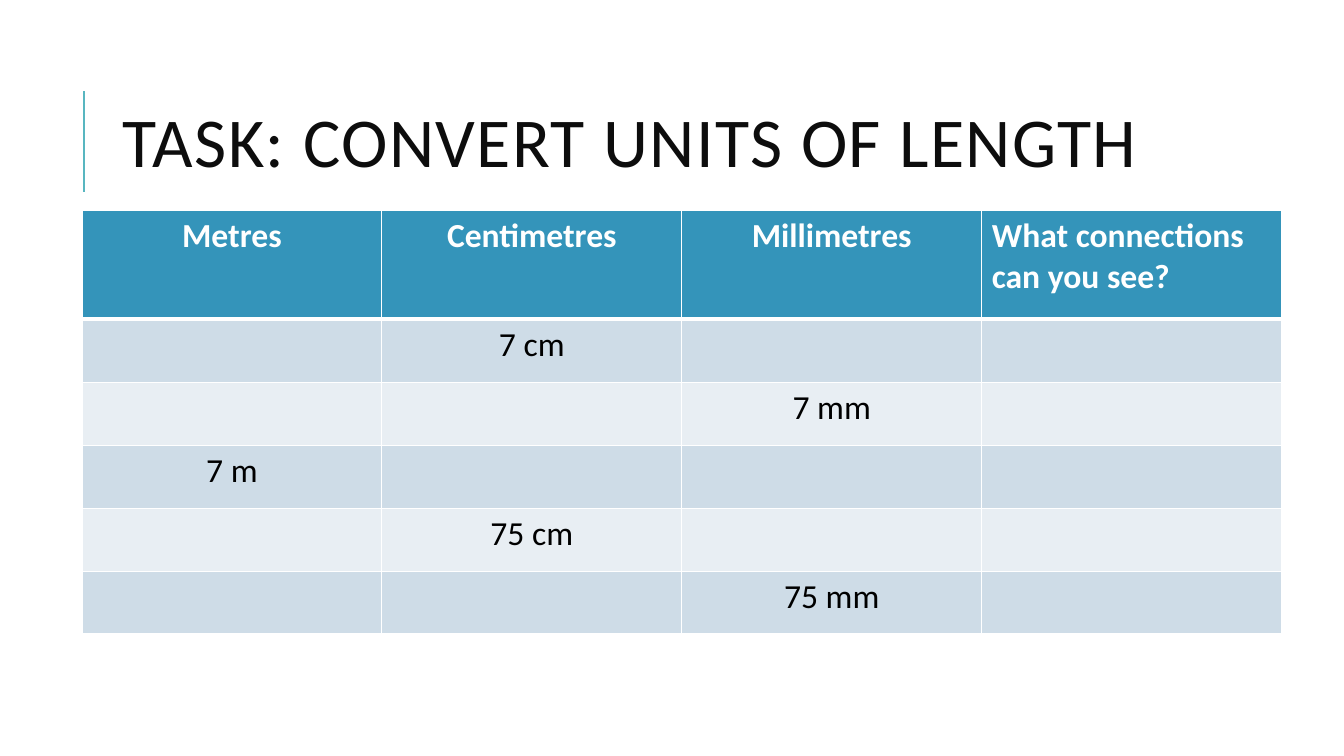
from lxml import etree
from pptx import Presentation
from pptx.dml.color import RGBColor
from pptx.enum.shapes import MSO_CONNECTOR
from pptx.enum.text import MSO_ANCHOR, MSO_AUTO_SIZE, PP_ALIGN
from pptx.oxml.ns import qn
from pptx.util import Pt

STRAIGHT = MSO_CONNECTOR.STRAIGHT
MIDDLE = MSO_ANCHOR.MIDDLE
NO_AUTOFIT = MSO_AUTO_SIZE.NONE
LEFT, CENTER = PP_ALIGN.LEFT, PP_ALIGN.CENTER
FONT = "Calibri"
COLUMN_WIDTH = 214.25
HEADER_HEIGHT, ROW_HEIGHT = 77.5, 45
UNITS = [
    ["Metres", "Centimetres", "Millimetres", "What connections can you see?"],
    ["", "7 cm", "", ""],
    ["", "", "7 mm", ""],
    ["7 m", "", "", ""],
    ["", "75 cm", "", ""],
    ["", "", "75 mm", ""],
]


def color(hex_string):
    return RGBColor.from_string(hex_string)


def add_border(cell, side, width):
    line = etree.SubElement(cell._tc.get_or_add_tcPr(), qn(f"a:ln{side}"), w=str(Pt(width)))
    fill = etree.SubElement(line, qn("a:solidFill"))
    etree.SubElement(fill, qn("a:srgbClr"), val="FFFFFF")


prs = Presentation()
prs.slide_width, prs.slide_height = Pt(960), Pt(540)
slide = prs.slides.add_slide(prs.slide_layouts[5])

accent = slide.shapes.add_connector(STRAIGHT, Pt(60), Pt(137), Pt(60), Pt(65))
accent.line.color.rgb = color("58B6C0")
accent.line.width = Pt(1.5)
etree.SubElement(accent._element.spPr, qn("a:effectLst"))

title = slide.shapes.title
title.left, title.top, title.width, title.height = Pt(80.5), Pt(46), Pt(765.5), Pt(118)
heading = title.text_frame
heading.text = "TASK: CONVERT UNITS OF LENGTH"
heading.word_wrap = True
heading.auto_size = NO_AUTOFIT
heading.vertical_anchor = MIDDLE
heading_line = heading.paragraphs[0]
heading_line.alignment = LEFT
heading_line.line_spacing = 0.8
heading_run = heading_line.runs[0]
heading_run.font.name = FONT
heading_run.font.size = Pt(50)
heading_run.font.color.rgb = color("0D0D0D")
heading_run._r.get_or_add_rPr().set("spc", "100")

row_count, column_count = len(UNITS), len(UNITS[0])
conversions = slide.shapes.add_table(
    row_count, column_count, Pt(58.5), Pt(150.5),
    Pt(COLUMN_WIDTH * column_count), Pt(HEADER_HEIGHT + ROW_HEIGHT * (row_count - 1))
).table
for column in conversions.columns:
    column.width = Pt(COLUMN_WIDTH)

for r, measures in enumerate(UNITS):
    is_header = r == 0
    conversions.rows[r].height = Pt(HEADER_HEIGHT if is_header else ROW_HEIGHT)
    row_fill = "3494BA" if is_header else ("CEDCE7" if r % 2 else "E8EEF3")
    for c, measure in enumerate(measures):
        cell = conversions.cell(r, c)
        for side in "LRTB":
            thick = (is_header and side == "B") or (r == 1 and side == "T")
            add_border(cell, side, 3 if thick else 1)
        cell.fill.solid()
        cell.fill.fore_color.rgb = color(row_fill)
        cell.text_frame.text = measure
        paragraph = cell.text_frame.paragraphs[0]
        paragraph.alignment = CENTER if c < column_count - 1 else LEFT
        paragraph.font.size = Pt(24)
        for run in paragraph.runs:
            run.font.name = FONT
            run.font.size = Pt(24)
            run.font.bold = is_header
            run.font.color.rgb = color("FFFFFF" if is_header else "000000")

prs.save("out.pptx")
